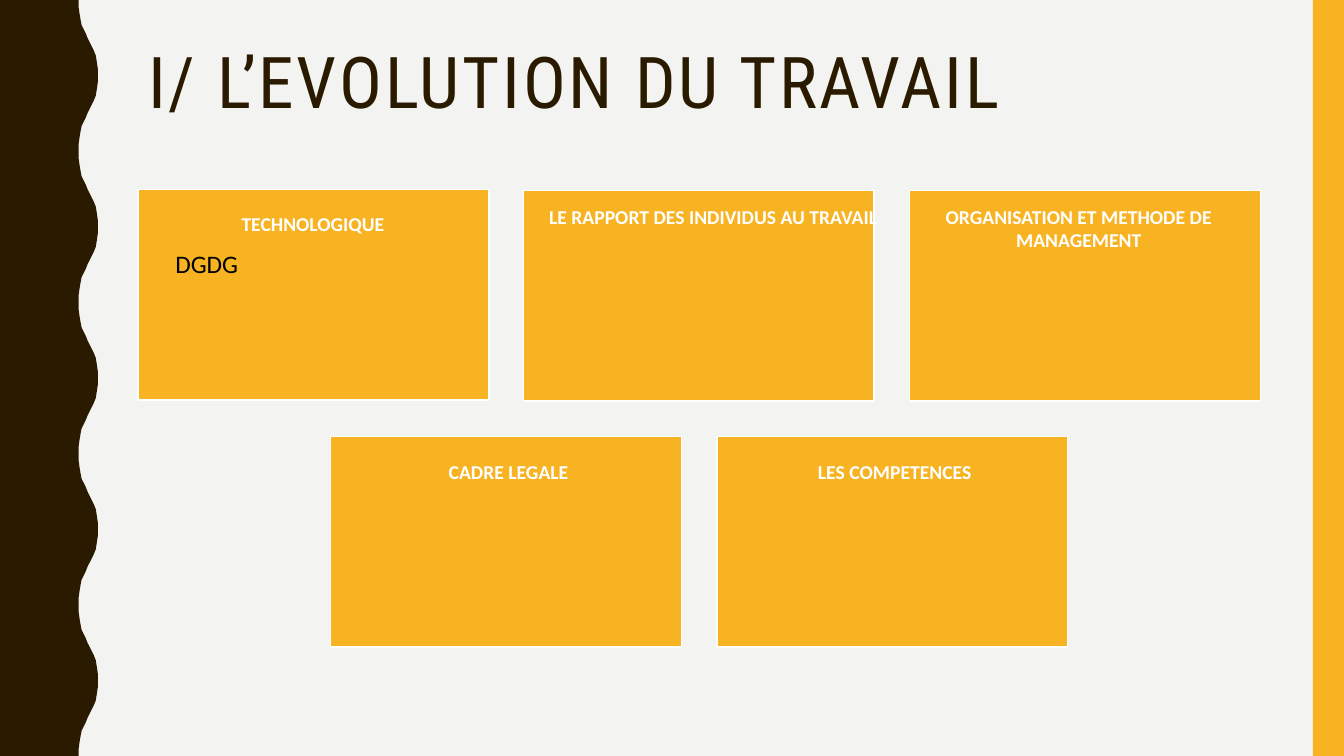
"""Builds the slide on the evolution of work, with five themed boxes."""
from pptx import Presentation
from pptx.dml.color import RGBColor
from pptx.enum.shapes import MSO_SHAPE
from pptx.enum.text import MSO_ANCHOR, PP_ALIGN
from pptx.util import Inches, Pt

RECTANGLE = MSO_SHAPE.RECTANGLE
TOP = MSO_ANCHOR.TOP
LEFT, CENTER = PP_ALIGN.LEFT, PP_ALIGN.CENTER
BROWN, GOLD, WHITE, BLACK, PAPER = "2A1A00", "F8B323", "FFFFFF", "000000", "F3F3F2"


def paint(shape, fill, line=None):
    shape.shadow.inherit = False
    shape.fill.solid()
    shape.fill.fore_color.rgb = RGBColor.from_string(fill)
    if line:
        shape.line.color.rgb = RGBColor.from_string(line)
        shape.line.width = Pt(1)
    else:
        shape.line.fill.background()


def add_text(text, left, top, width, height, size=14, font="Calibri", color=WHITE,
             bold=False, align=CENTER, line_spacing=1.0, tracking=0):
    box = page.shapes.add_textbox(Inches(left), Inches(top), Inches(width), Inches(height))
    box.text_frame.word_wrap = True
    box.text_frame.vertical_anchor = TOP
    para = box.text_frame.paragraphs[0]
    para.alignment = align
    para.line_spacing = line_spacing
    span = para.add_run()
    span.text = text
    span.font.size = Pt(size)
    span.font.name = font
    span.font.bold = bold
    span.font.color.rgb = RGBColor.from_string(color)
    if tracking:
        span.font._element.set("spc", str(tracking * 100))


deck = Presentation()
deck.slide_width, deck.slide_height = Inches(13.33), Inches(7.5)
page = deck.slides.add_slide(deck.slide_layouts[6])
page.background.fill.solid()
page.background.fill.fore_color.rgb = RGBColor.from_string(PAPER)

half_wave = 0.75
swell = [(0.78, 0), (0.78, 0.07), (0.79, 0.14), (0.8, 0.2), (0.81, 0.25),
         (0.83, 0.29), (0.85, 0.33), (0.87, 0.38), (0.89, 0.42), (0.91, 0.46),
         (0.93, 0.5), (0.95, 0.55), (0.96, 0.61), (0.97, 0.68), (0.97, 0.75)]
ebb = [(x, half_wave - y) for x, y in reversed(swell)]
edge = [(0, 0), (0.78, 0)]
for index in range(10):
    profile = ebb if index % 2 else swell
    edge += [(x, index * half_wave + y) for x, y in profile[1:]]
edge.append((0, 7.5))
outline = page.shapes.build_freeform(0, 0, scale=1.0)
outline.add_line_segments([(Inches(x), Inches(y)) for x, y in edge[1:]], close=True)
paint(outline.convert_to_shape(), BROWN)

side_band = page.shapes.add_shape(RECTANGLE, Inches(13.02), 0, Inches(0.31), Inches(7.5))
paint(side_band, GOLD)

add_text("I/ L’EVOLUTION DU TRAVAIL", 1.37, 0.42, 11.13, 1.63, size=51,
         font="Roboto Condensed", color=BROWN, align=LEFT, line_spacing=0.9, tracking=2)

for left, top in [(1.37, 1.88), (5.19, 1.89), (9.02, 1.89), (3.28, 4.33), (7.11, 4.33)]:
    card = page.shapes.add_shape(RECTANGLE, Inches(left), Inches(top), Inches(3.48), Inches(2.09))
    paint(card, GOLD, WHITE)

headings = [
    ("TECHNOLOGIQUE", 1.64, 2.05, 2.93, 0.64),
    ("LE RAPPORT DES INDIVIDUS AU TRAVAIL", 5.29, 1.98, 3.57, 0.88),
    ("ORGANISATION ET METHODE DE MANAGEMENT", 9.02, 1.98, 3.36, 0.57),
    ("CADRE LEGALE", 3.63, 4.51, 2.83, 0.34),
    ("LES COMPETENCES", 7.46, 4.51, 2.83, 0.34),
]
for heading in headings:
    add_text(*heading, bold=True)

add_text("DGDG", 1.64, 2.41, 3.05, 0.4, size=18, color=BLACK, align=LEFT)

deck.save("out.pptx")
